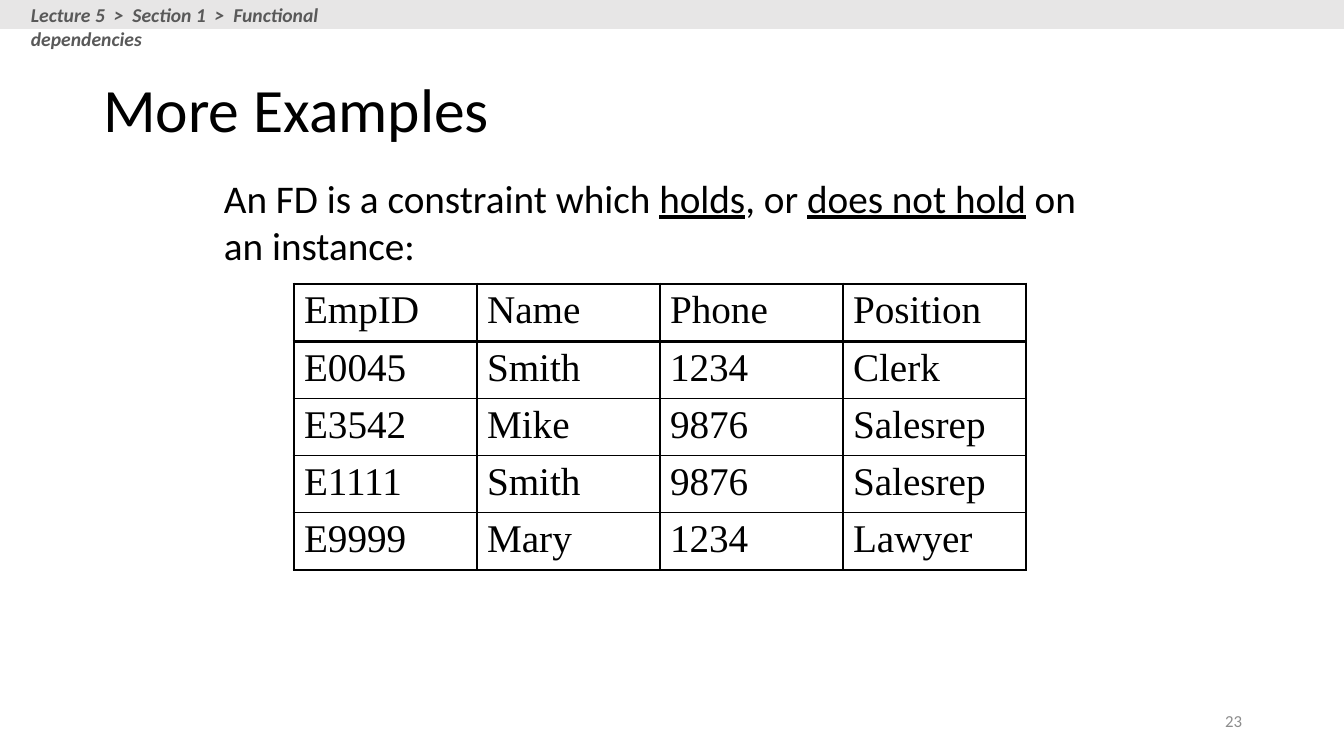
from lxml.etree import SubElement
from pptx import Presentation
from pptx.dml.color import RGBColor
from pptx.enum.shapes import MSO_SHAPE as Shape
from pptx.enum.text import MSO_ANCHOR as Anchor, PP_ALIGN as Align
from pptx.oxml.ns import qn
from pptx.util import Emu, Pt

SCALE = 914400 / 100.8
BLACK, WHITE, BAND, CRUMB, NUMBER = "000000", "FFFFFF", "E7E6E6", "595959", "8C8C8C"
THIN, THICK = 1, 2.25

EMPLOYEES = [
    ["EmpID", "Name", "Phone", "Position"],
    ["E0045", "Smith", "1234", "Clerk"],
    ["E3542", "Mike", "9876", "Salesrep"],
    ["E1111", "Smith", "9876", "Salesrep"],
    ["E9999", "Mary", "1234", "Lawyer"],
]


def px(length):
    """Turn pixels into EMU."""
    return Emu(round(length * SCALE))


def color(value):
    """Turn a hex string into a colour."""
    return RGBColor.from_string(value)


def write(frame, *parts, font="Calibri", size=28, ink=BLACK, bold=False,
          italic=False, align=Align.LEFT, anchor=Anchor.TOP, spacing=None):
    """Write one paragraph; a part given as a tuple is underlined."""
    frame.word_wrap = True
    frame.vertical_anchor = anchor
    para = frame.paragraphs[0]
    para.alignment = align
    para.line_spacing = spacing
    for part in parts:
        span = para.add_run()
        underlined = isinstance(part, tuple)
        span.text = part[0] if underlined else part
        style = span.font
        style.name, style.size = font, Pt(size)
        style.bold, style.italic, style.underline = bold, italic, underlined
        style.color.rgb = color(ink)


def draw_border(cell, side, width, ink=BLACK):
    """Add one border line (L, R, T or B) to a cell, before its fill."""
    line = SubElement(cell._tc.get_or_add_tcPr(), qn(f"a:ln{side}"), w=str(Pt(width)))
    fill = SubElement(line, qn("a:solidFill"))
    SubElement(fill, qn("a:srgbClr"), val=ink)


class SlideBuilder:
    """Holds the current slide and adds elements to it."""

    def __init__(self, page):
        """Keep the slide to draw on."""
        self.page = page

    def title(self, bounds, text, **style):
        """Place and format the title placeholder."""
        box = self.page.shapes.title
        box.left, box.top, box.width, box.height = map(px, bounds)
        write(box.text_frame, text, **style)

    def text(self, bounds, *parts, **style):
        """Add a text box."""
        box = self.page.shapes.add_textbox(*map(px, bounds))
        write(box.text_frame, *parts, **style)

    def band(self, bounds, fill):
        """Add a plain filled rectangle."""
        box = self.page.shapes.add_shape(Shape.RECTANGLE, *map(px, bounds))
        box.shadow.inherit = False
        box.fill.solid()
        box.fill.fore_color.rgb = color(fill)
        box.line.fill.background()

    def table(self, left, top, column_width, row_height, rows, **style):
        """Add a table with a thick frame and a thick line under its header."""
        row_count, column_count = len(rows), len(rows[0])
        table = self.page.shapes.add_table(
            row_count, column_count, px(left), px(top),
            px(column_width * column_count), px(row_height * row_count)).table
        table.first_row = table.horz_banding = False
        for column in table.columns:
            column.width = px(column_width)
        for i, row in enumerate(rows):
            table.rows[i].height = px(row_height)
            for j, value in enumerate(row):
                cell = table.cell(i, j)
                write(cell.text_frame, value, **style)
                thick = {"L": j == 0, "R": j == column_count - 1,
                         "T": i in (0, 1), "B": i in (0, row_count - 1)}
                for side, is_thick in thick.items():
                    draw_border(cell, side, THICK if is_thick else THIN)
                cell.fill.solid()
                cell.fill.fore_color.rgb = color(WHITE)


deck = Presentation()
deck.slide_width, deck.slide_height = px(1344), px(756)
slide = SlideBuilder(deck.slides.add_slide(deck.slide_layouts[5]))

slide.text((950, 701, 302, 40), "23", size=12, ink=NUMBER,
           align=Align.RIGHT, anchor=Anchor.MIDDLE)
slide.title((93, 40, 1159, 146), "More Examples", size=44,
            anchor=Anchor.MIDDLE, spacing=0.9)
slide.text((214, 169, 892, 106), "An FD is a constraint which ", ("holds",),
           ", or ", ("does not hold",), " on an instance:")
slide.table(294, 284, 183, 57, EMPLOYEES, font="Times New Roman")
slide.band((0, 0, 1344, 29), BAND)
slide.text((21, -2, 416, 34), "Lecture 5  >  Section 1  >  Functional dependencies",
           size=14, ink=CRUMB, bold=True, italic=True)

deck.save("out.pptx")
